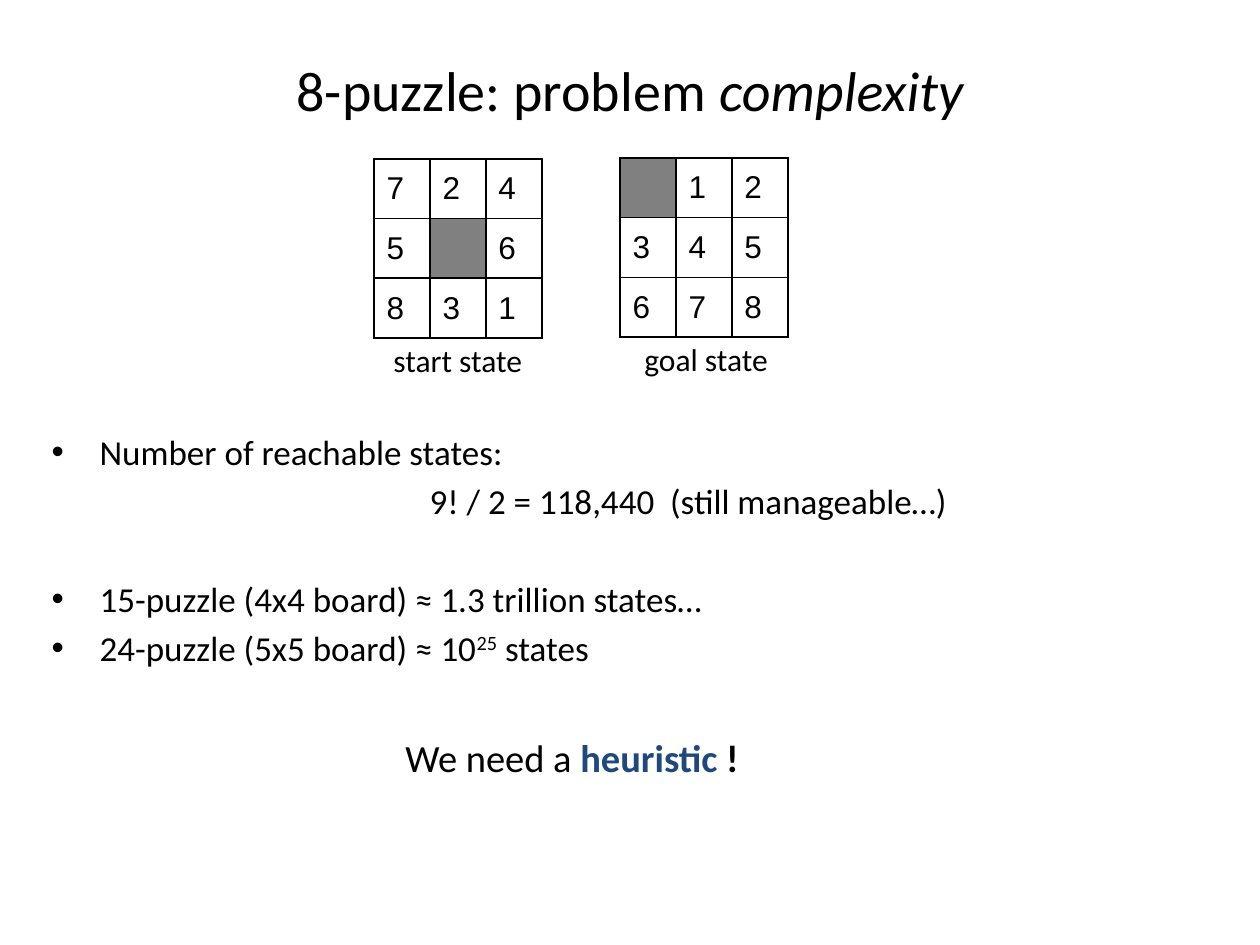
from dataclasses import dataclass, field
from typing import Any

from lxml import etree
from pptx import Presentation, util as u
from pptx.dml.color import RGBColor
from pptx.enum import text as t
from pptx.oxml.ns import qn

SCALE = 914400 // 126
HUES = {"ink": "000000", "paper": "FFFFFF", "blank": "808080", "key": "1F497D"}


@dataclass
class Run:
    text: str
    size: int = 20
    hue: str = "ink"
    face: str = "Calibri"
    form: dict[str, Any] = field(default_factory=dict)
    base: int = 0


@dataclass
class Line:
    runs: list[Run]
    space: int = 0
    left: int = 0
    hang: int = 0
    bullet: bool = True


@dataclass
class Board:
    name: str
    left: int
    top: int
    label: int
    tiles: tuple[str, str, str]


def px(n: int) -> u.Emu:
    return u.Emu(n * SCALE)


def tint(hue: str) -> RGBColor:
    return RGBColor.from_string(HUES[hue])


def apply(obj: Any, form: dict[str, Any]) -> None:
    for key, val in form.items():
        setattr(obj, key, val)


def write(para: Any, runs: list[Run]) -> None:
    for item in runs:
        run = para.add_run()
        run.text = item.text
        apply(run.font, {"size": u.Pt(item.size), "name": item.face, **item.form})
        run.font.color.rgb = tint(item.hue)
        if item.base:
            run._r.get_or_add_rPr().set("baseline", str(item.base * 1000))


def place(shape: Any, left: int, top: int, width: int, height: int) -> None:
    box = {"left": left, "top": top, "width": width, "height": height}
    apply(shape, {key: px(val) for key, val in box.items()})


def note(slide: Any, box: tuple[int, int, int, int], runs: list[Run],
         wrap: bool = False, space: float = 0) -> None:
    frame = slide.shapes.add_textbox(*map(px, box)).text_frame
    frame.word_wrap = wrap
    para = frame.paragraphs[0]
    para.space_before = u.Pt(space)
    write(para, runs)


def fill(para: Any, line: Line) -> None:
    para.space_before = u.Pt(line.space)
    props = para._p.get_or_add_pPr()
    props.set("marL", str(px(line.left)))
    props.set("indent", str(px(line.hang)))
    if not line.bullet:
        etree.SubElement(props, qn("a:buNone"))
    write(para, line.runs)


def edge(cell: Any) -> None:
    props = cell._tc.get_or_add_tcPr()
    for side in ("lnL", "lnR", "lnT", "lnB"):
        rule = etree.SubElement(props, qn(f"a:{side}"), w=str(u.Pt(1)))
        solid = etree.SubElement(rule, qn("a:solidFill"))
        etree.SubElement(solid, qn("a:srgbClr"), val=HUES["ink"])


def draw(slide: Any, board: Board) -> None:
    spot = map(px, (board.left, board.top, 168, 179))
    table = slide.shapes.add_table(3, 3, *spot).table
    apply(table, {"first_row": False, "horz_banding": False})
    for row, tiles in enumerate(board.tiles):
        for col, tile in enumerate(tiles):
            cell = table.cell(row, col)
            cell.vertical_anchor = t.MSO_ANCHOR.MIDDLE
            edge(cell)
            cell.fill.solid()
            cell.fill.fore_color.rgb = tint("blank" if tile == " " else "paper")
            if tile != " ":
                write(cell.text_frame.paragraphs[0], [Run(tile, 18, face="Arial")])
    note(slide, (board.label, board.top + 176, 155, 50), [Run(board.name, 18)])


LINES = [
    Line([Run("Number of reachable states: ")], 4, 48, -48),
    Line([Run("9! / 2 = 118,440  (still manageable…)")], 4, 378, 0, False),
    Line([Run("15-puzzle (4x4 board) ≈ 1.3 trillion states…")], 32, 48, -48),
    Line([Run("24-puzzle (5x5 board) ≈ 10"), Run("25", base=30), Run(" states ")], 4, 48, -48),
]
BOARDS = [
    Board("start state", 374, 159, 381, ("724", "5 6", "831")),
    Board("goal state", 620, 158, 632, (" 12", "345", "678")),
]


def main() -> None:
    deck = Presentation()
    apply(deck, {"slide_width": px(1260), "slide_height": px(945)})
    slide = deck.slides.add_slide(deck.slide_layouts[1])
    title, body = slide.placeholders
    place(title, 63, 10, 1134, 158)
    head = title.text_frame
    apply(head, {"vertical_anchor": t.MSO_ANCHOR.MIDDLE, "auto_size": t.MSO_AUTO_SIZE.NONE})
    head.paragraphs[0].alignment = t.PP_ALIGN.CENTER
    write(head.paragraphs[0], [Run("8-puzzle: problem ", 32),
                               Run("complexity", 32, form={"italic": True})])
    place(body, 39, 81, 1221, 707)
    frame = body.text_frame
    apply(frame, {"margin_top": px(349), "auto_size": t.MSO_AUTO_SIZE.NONE})
    for num, line in enumerate(LINES):
        fill(frame.add_paragraph() if num else frame.paragraphs[0], line)
    for board in BOARDS:
        draw(slide, board)
    bold = {"bold": True}
    note(slide, (393, 728, 413, 98),
         [Run("We need a ", 22), Run("heuristic ", 22, "key", form=bold),
          Run("!", 22, form=bold)], True, 4.4)
    deck.save("out.pptx")


main()
